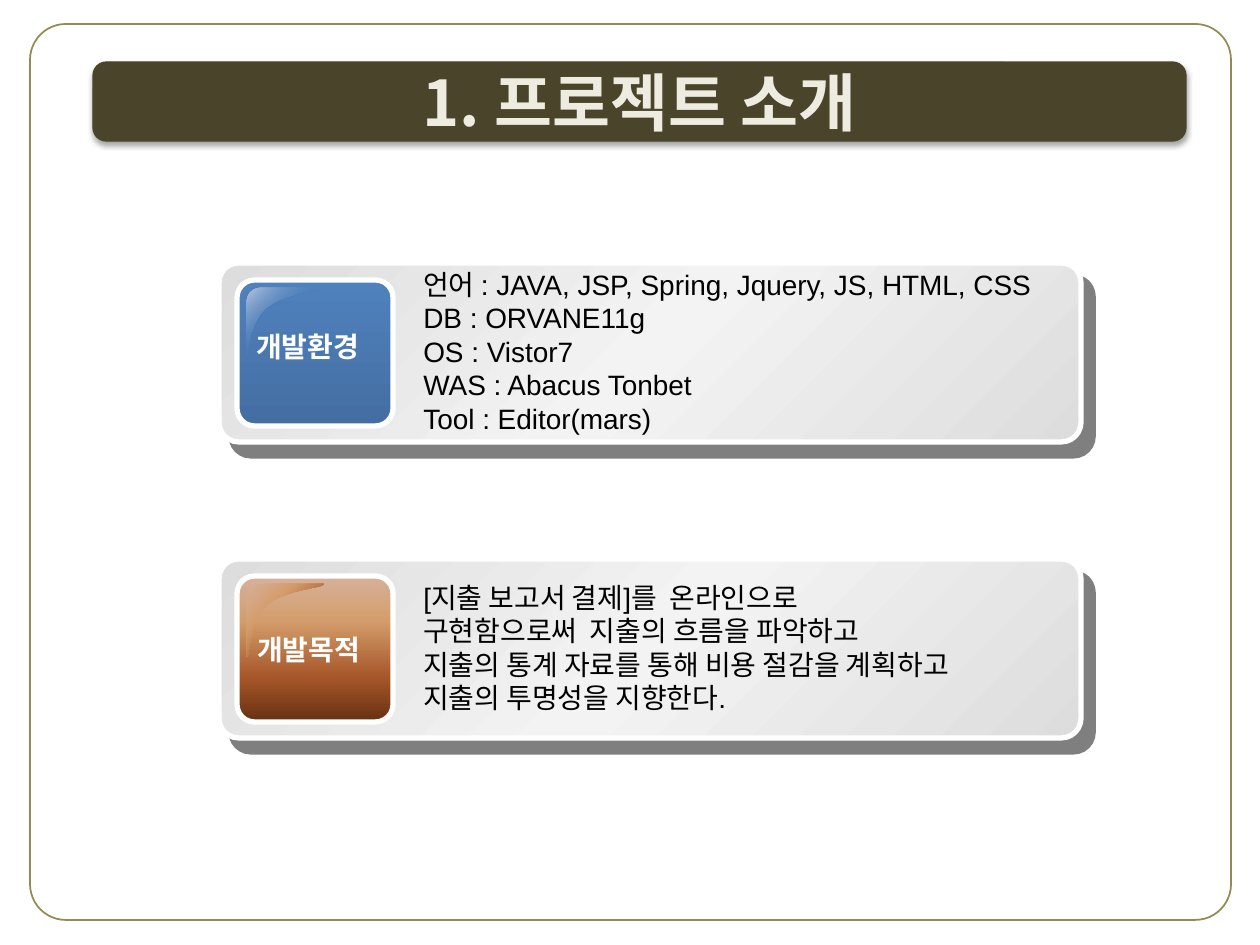
from lxml import etree
from pptx import Presentation
from pptx.dml.color import RGBColor
from pptx.enum.shapes import MSO_SHAPE
from pptx.enum.text import MSO_ANCHOR, PP_ALIGN
from pptx.oxml import parse_xml
from pptx.oxml.ns import nsdecls, qn
from pptx.util import Pt

ROUNDED = MSO_SHAPE.ROUNDED_RECTANGLE
CENTER, LEFT = PP_ALIGN.CENTER, PP_ALIGN.LEFT
MIDDLE, TOP = MSO_ANCHOR.MIDDLE, MSO_ANCHOR.TOP

PX = 914400 / 126
LATIN_FONT, KOREAN_FONT = "Arial", "Noto Sans CJK KR"

BLACK = RGBColor(0x00, 0x00, 0x00)
WHITE = RGBColor(0xFF, 0xFF, 0xFF)
CREAM = RGBColor(0xEE, 0xEC, 0xE1)
OLIVE = RGBColor(0x4A, 0x45, 0x2A)
KHAKI = RGBColor(0x94, 0x8A, 0x54)
SILVER = RGBColor(0xDD, 0xDD, 0xDD)
PALE = RGBColor(0xF3, 0xF3, 0xF3)
BLUE = RGBColor(0x4F, 0x81, 0xBD)
DARK_BLUE = RGBColor(0x44, 0x6E, 0xA2)
ICE_BLUE = RGBColor(0xBB, 0xC7, 0xDE)
TAN = RGBColor(0xD6, 0xB1, 0x9C)
SAND = RGBColor(0xD4, 0x9E, 0x6C)
RUST = RGBColor(0xA6, 0x55, 0x28)
BROWN = RGBColor(0x66, 0x30, 0x12)

TITLE = "1. 프로젝트 소개"
PANEL_GRADIENT = [(0, SILVER, 100), (50, PALE, 100), (100, SILVER, 100)]
COPPER = [(0, TAN, 100), (30, SAND, 100), (70, RUST, 100), (100, BROWN, 100)]
SECTIONS = [
    {
        "label": "개발환경",
        "label_at": (238, 323),
        "tile": [(0, BLUE, 100), (100, DARK_BLUE, 100)],
        "gloss": [(0, ICE_BLUE, 100), (50, BLUE, 0), (100, ICE_BLUE, 100)],
        "width": 669,
        "lines": [
            "언어 : JAVA, JSP, Spring, Jquery, JS, HTML, CSS",
            "DB : ORVANE11g",
            "OS : Vistor7",
            "WAS : Abacus Tonbet",
            "Tool : Editor(mars)",
        ],
    },
    {
        "label": "개발목적",
        "label_at": (239, 626),
        "tile": COPPER,
        "gloss": COPPER,
        "width": 620,
        "lines": [
            "[지출 보고서 결제]를  온라인으로",
            "구현함으로써  지출의 흐름을 파악하고",
            "지출의 통계 자료를 통해 비용 절감을 계획하고",
            "지출의 투명성을 지향한다.",
        ],
    },
]
PANEL_TOP, PANEL_HEIGHT, PITCH = 263, 179, 296
LINE_HEIGHT, TEXT_PADDING = 34, 13
GLOSS_CURVES = [
    [(15, 0), (6, 0), (0, 6), (0, 15)],
    [(0, 73), (3, 74), (1, 38), (20, 21)],
    [(20, 21), (40, 5), (77, 4), (77, 0)],
]
CURVE_STEPS = 12


def emu(*lengths):
    return [round(length * PX) for length in lengths]


def set_gradient(shape, stops, angle):
    shape.fill.solid()
    solid = shape._element.spPr.find(qn("a:solidFill"))
    stop_xml = "".join(
        f'<a:gs pos="{position * 1000}"><a:srgbClr val="{color}">'
        f'<a:alpha val="{opacity * 1000}"/></a:srgbClr></a:gs>'
        for position, color, opacity in stops
    )
    gradient = parse_xml(
        f'<a:gradFill {nsdecls("a")} rotWithShape="1"><a:gsLst>{stop_xml}</a:gsLst>'
        f'<a:lin ang="{angle * 60000}" scaled="0"/></a:gradFill>'
    )
    solid.getparent().replace(solid, gradient)


def set_shadow(shape, opacity, blur, distance, angle):
    effects = shape._element.spPr.find(qn("a:effectLst"))
    shadow = etree.SubElement(
        effects, qn("a:outerShdw"), blurRad=str(Pt(blur)), dist=str(Pt(distance)),
        dir=str(angle * 60000), algn="ctr", rotWithShape="0",
    )
    color = etree.SubElement(shadow, qn("a:srgbClr"), val=str(BLACK))
    etree.SubElement(color, qn("a:alpha"), val=str(opacity * 1000))


def add_rounded(slide, box, adjustment, line_color, line_width):
    shape = slide.shapes.add_shape(ROUNDED, *emu(*box))
    shape.adjustments[0] = adjustment
    shape.shadow.inherit = False
    shape.line.color.rgb = line_color
    shape.line.width = Pt(line_width)
    return shape


def write_text(shape, lines, size, color, bold, alignment, anchor, latin=LATIN_FONT, wrap=True):
    frame = shape.text_frame
    frame.word_wrap = wrap
    frame.vertical_anchor = anchor
    frame.text = "\n".join(lines)
    for paragraph in frame.paragraphs:
        paragraph.alignment = alignment
        for run in paragraph.runs:
            run.font.size = Pt(size)
            run.font.bold = bold
            run.font.color.rgb = color
            run.font.name = latin
            etree.SubElement(run.font._element, qn("a:ea"), typeface=KOREAN_FONT)


def curve_points(curve):
    for step in range(CURVE_STEPS + 1):
        t = step / CURVE_STEPS
        weights = ((1 - t) ** 3, 3 * t * (1 - t) ** 2, 3 * t * t * (1 - t), t ** 3)
        yield tuple(sum(w * point[axis] for w, point in zip(weights, curve)) for axis in (0, 1))


def add_gloss(slide, left, top, stops):
    points = [emu(left + x, top + y) for curve in GLOSS_CURVES for x, y in curve_points(curve)]
    builder = slide.shapes.build_freeform(*points[0])
    builder.add_line_segments(points[1:], close=True)
    gloss = builder.convert_to_shape()
    gloss.shadow.inherit = False
    gloss.line.fill.background()
    set_gradient(gloss, stops, 45)


def add_section(slide, section, top):
    panel = add_rounded(slide, (219, top, 862, PANEL_HEIGHT), 0.11, WHITE, 3)
    set_gradient(panel, PANEL_GRADIENT, 45)
    set_shadow(panel, 50, 0, 10.6, 49)
    tile = add_rounded(slide, (237, top + 17, 156, 146), 0.12, WHITE, 3)
    set_gradient(tile, section["tile"], 90)
    add_gloss(slide, 247, top + 25, section["gloss"])

    label = slide.shapes.add_textbox(*emu(*section["label_at"], 139, 47))
    write_text(label, [section["label"]], 16, WHITE, True, CENTER, TOP, wrap=False)
    height = LINE_HEIGHT * len(section["lines"]) + TEXT_PADDING
    body_top = top + (PANEL_HEIGHT - height) / 2
    body = slide.shapes.add_textbox(*emu(411, body_top, section["width"], height))
    write_text(body, section["lines"], 16, BLACK, False, LEFT, TOP)


def main():
    presentation = Presentation()
    presentation.slide_width, presentation.slide_height = emu(1260, 945)
    slide = presentation.slides.add_slide(presentation.slide_layouts[6])

    title = add_rounded(slide, (93, 62, 1093, 79), 0.17, OLIVE, 0.75)
    title.fill.solid()
    title.fill.fore_color.rgb = OLIVE
    set_shadow(title, 35, 3.1, 1.8, 90)
    write_text(title, [TITLE], 36, CREAM, True, CENTER, MIDDLE, latin=KOREAN_FONT)

    for index, section in enumerate(SECTIONS):
        add_section(slide, section, PANEL_TOP + index * PITCH)

    frame = add_rounded(slide, (30, 24, 1201, 896), 0.04, KHAKI, 1)
    frame.fill.background()
    presentation.save("out.pptx")


if __name__ == "__main__":
    main()
